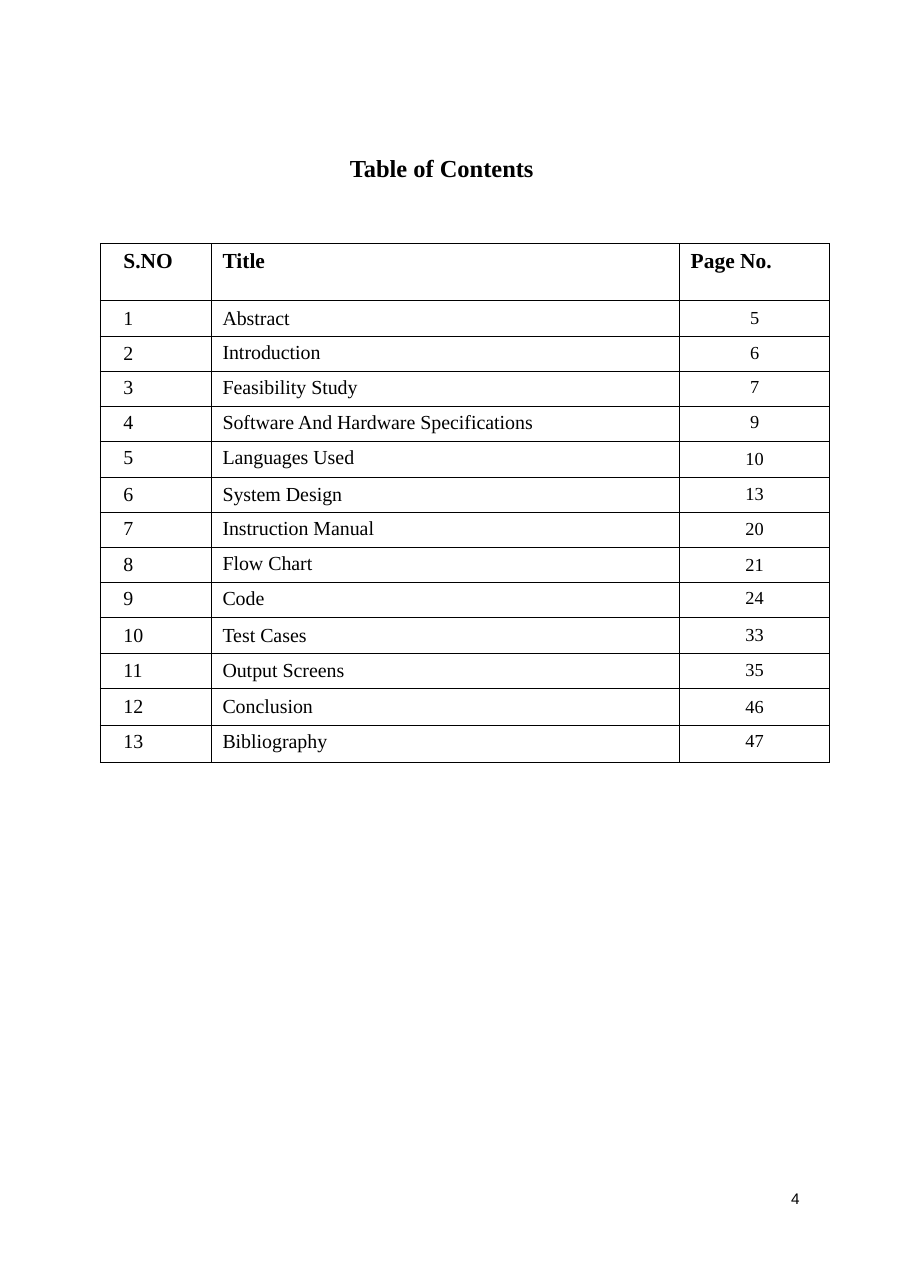
from typing import NamedTuple

from lxml.etree import SubElement
from pptx import Presentation
from pptx.dml.color import RGBColor
from pptx.enum.text import MSO_ANCHOR as Anchor
from pptx.enum.text import MSO_AUTO_SIZE as AutoSize
from pptx.enum.text import PP_ALIGN as Align
from pptx.oxml.ns import qn
from pptx.util import Inches, Pt

SERIF = "Times New Roman"
BLACK = "000000"
COLUMN_WIDTHS = (1.01, 4.25, 1.36)
ROW_HEIGHTS = (0.52, *[0.32] * 11, 0.34, 0.33)
HEADINGS = ("S.NO", "Title", "Page No.")
ANCHORS = {"t": Anchor.TOP, "m": Anchor.MIDDLE}


class Entry(NamedTuple):
    title: str
    page_number: int
    anchors: str = "mmm"  # one letter per column: top or middle


ENTRIES = (
    Entry("Abstract", 5),
    Entry("Introduction", 6, "mtm"),
    Entry("Feasibility Study", 7, "ttt"),
    Entry("Software And Hardware Specifications", 9, "ttt"),
    Entry("Languages Used", 10, "ttm"),
    Entry("System Design", 13),
    Entry("Instruction Manual", 20, "ttm"),
    Entry("Flow Chart", 21, "mtm"),
    Entry("Code", 24, "ttt"),
    Entry("Test Cases", 33),
    Entry("Output Screens", 35),
    Entry("Conclusion", 46),
    Entry("Bibliography", 47, "ttt"),
)


def rgb(value: str) -> RGBColor:
    return RGBColor.from_string(value)


def write(frame, text: str, *, size: float, font: str = SERIF, bold: bool = False,
          align=Align.LEFT, indent: float = 0, after: float = 0) -> None:
    para = frame.paragraphs[0]
    para.alignment = align
    para.space_after = Pt(after)
    if indent:
        properties = para._p.get_or_add_pPr()
        properties.set("marL", str(Inches(indent)))
        properties.set("indent", "0")
    span = para.add_run()
    span.text = text
    span.font.size = Pt(size)
    span.font.name = font
    span.font.bold = bold
    span.font.color.rgb = rgb(BLACK)


def place_box(box, left: float, top: float, width: float, height: float):
    """Position a text shape, strip its margins and return its text frame."""
    box.left, box.top = Inches(left), Inches(top)
    box.width, box.height = Inches(width), Inches(height)
    frame = box.text_frame
    frame.margin_left = frame.margin_right = 0
    frame.margin_top = frame.margin_bottom = 0
    frame.word_wrap = False
    frame.auto_size = AutoSize.NONE
    frame.vertical_anchor = Anchor.TOP
    return frame


def outline_cell(cell, color: str, width: float) -> None:
    properties = cell._tc.get_or_add_tcPr()
    for side in ("a:lnL", "a:lnR", "a:lnT", "a:lnB"):
        line = SubElement(properties, qn(side), w=str(Pt(width)))
        fill = SubElement(line, qn("a:solidFill"))
        SubElement(fill, qn("a:srgbClr"), val=color)
    cell.fill.background()


def add_contents(page) -> None:
    table = page.shapes.add_table(
        len(ROW_HEIGHTS), len(COLUMN_WIDTHS), Inches(0.91), Inches(2.21),
        Inches(sum(COLUMN_WIDTHS)), Inches(sum(ROW_HEIGHTS))).table
    table.first_row = table.horz_banding = False
    for column, width in zip(table.columns, COLUMN_WIDTHS):
        column.width = Inches(width)
    for row, height in zip(table.rows, ROW_HEIGHTS):
        row.height = Inches(height)

    for column, heading in enumerate(HEADINGS):
        cell = table.cell(0, column)
        outline_cell(cell, BLACK, 0.45)
        write(cell.text_frame, heading, size=14, bold=True,
              indent=0.11 if column == 0 else 0)

    for number, entry in enumerate(ENTRIES, start=1):
        values = (str(number), entry.title, str(entry.page_number))
        formats = ({"size": 13, "indent": 0.11}, {"size": 13},
                   {"size": 12, "align": Align.CENTER})
        for column, (value, style) in enumerate(zip(values, formats)):
            cell = table.cell(number, column)
            outline_cell(cell, BLACK, 0.45)
            cell.vertical_anchor = ANCHORS[entry.anchors[column]]
            write(cell.text_frame, value, **style)


def main() -> None:
    deck = Presentation()
    deck.slide_width, deck.slide_height = Inches(8.26), Inches(11.69)
    page = deck.slides.add_slide(deck.slide_layouts.get_by_name("Title Only"))
    page.background.fill.solid()
    page.background.fill.fore_color.rgb = rgb("FFFFFF")

    title = place_box(page.shapes.title, 3.15, 1.39, 1.72, 0.2)
    write(title, "Table of Contents", size=16, bold=True, align=Align.CENTER, after=31.5)
    add_contents(page)
    folio = place_box(page.shapes.add_textbox(0, 0, 0, 0), 7.18, 10.79, 0.12, 0.15)
    write(folio, "4", size=10, font="Arial")
    deck.save("out.pptx")


if __name__ == "__main__":
    main()
